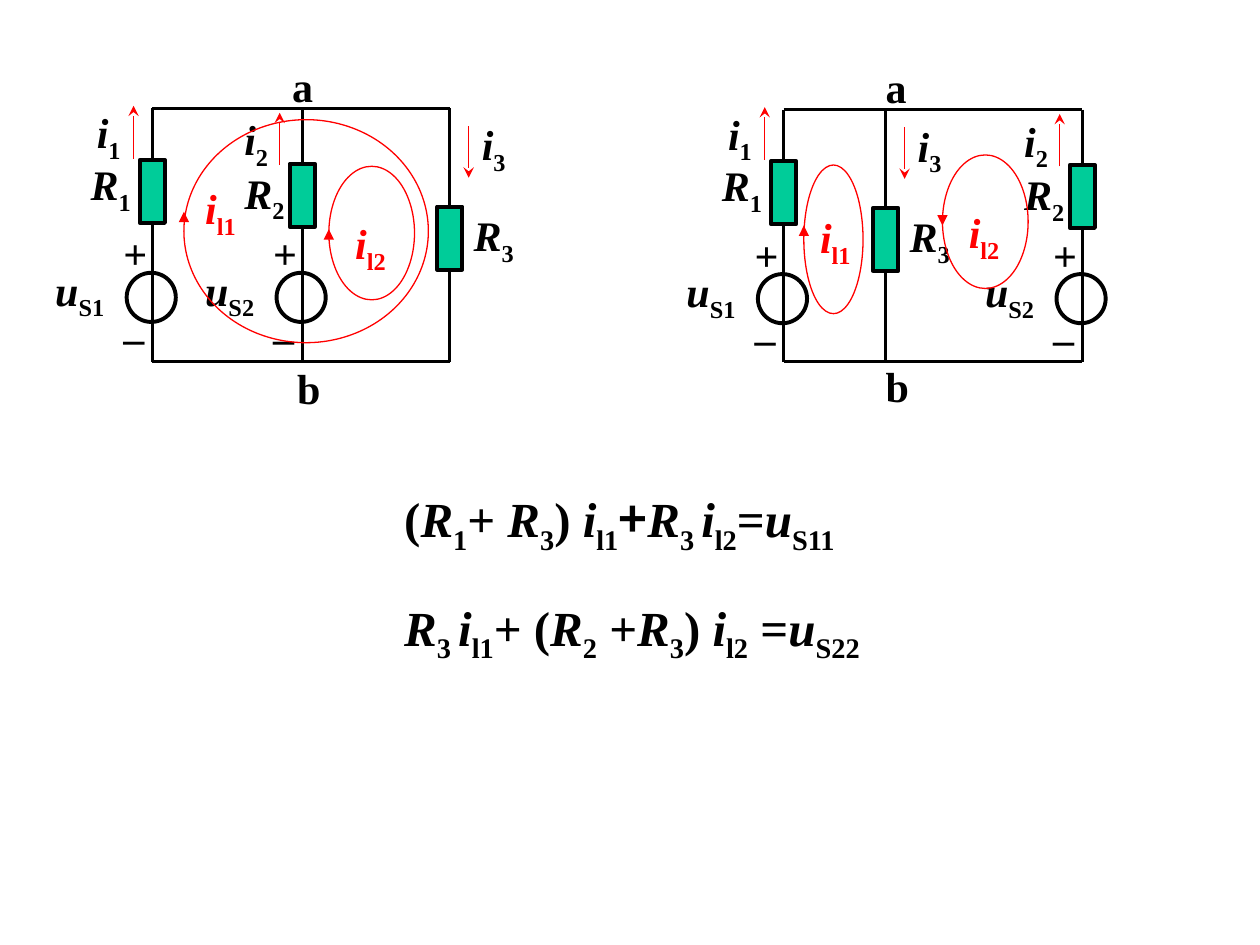
import itertools

import lxml.etree
import pptx
import pptx.dml.color
import pptx.enum.shapes
import pptx.enum.text
import pptx.oxml.ns
import pptx.util

BLACK = pptx.dml.color.RGBColor(0x00, 0x00, 0x00)
RED = pptx.dml.color.RGBColor(0xFF, 0x00, 0x00)
GREEN = pptx.dml.color.RGBColor(0x00, 0xCC, 0x99)
TEXT_FONT = "Times New Roman"
PLUS_FONT = "Noto Sans CJK SC"

# Grid of 100 columns by 75 rows over the whole slide
SLIDE_WIDTH = pptx.util.Inches(10)
SLIDE_HEIGHT = pptx.util.Inches(7.5)
COLUMN = SLIDE_WIDTH / 100
ROW = SLIDE_HEIGHT / 75

# Markup: *italic*, _subscript_, #other font#
MARKS = "*_#"


def columns(count):
    return round(count * COLUMN)


def rows(count):
    return round(count * ROW)


def split_markup(markup):
    """Give (text, active mark) pairs for a marked-up line."""
    active = ""
    styled = []
    for character in markup:
        if character in MARKS:
            active = "" if active == character else character
        else:
            styled.append((character, active))
    for mark, group in itertools.groupby(styled, key=lambda pair: pair[1]):
        yield "".join(character for character, _ in group), mark


def add_text(slide, markup, left, top, width=6.5, height=5.6, size=24,
             color=BLACK, wrap=True):
    box = slide.shapes.add_textbox(columns(left), rows(top),
                                   columns(width), rows(height))
    frame = box.text_frame
    frame.word_wrap = wrap
    frame.auto_size = pptx.enum.text.MSO_AUTO_SIZE.SHAPE_TO_FIT_TEXT
    paragraph = frame.paragraphs[0]
    for text, mark in split_markup(markup):
        run = paragraph.add_run()
        run.text = text
        run.font.name = PLUS_FONT if mark == "#" else TEXT_FONT
        run.font.size = pptx.util.Pt(size)
        run.font.bold = True
        run.font.italic = mark == "*"
        run.font.color.rgb = color
        if mark == "_":
            run.font._element.set("baseline", "-25000")


def add_line(slide, start, end, color=BLACK, weight=1.5, arrowhead=None):
    line = slide.shapes.add_connector(
        pptx.enum.shapes.MSO_CONNECTOR.STRAIGHT,
        columns(start[0]), rows(start[1]), columns(end[0]), rows(end[1]))
    line.line.color.rgb = color
    line.line.width = pptx.util.Pt(weight)
    properties = line._element.spPr
    if arrowhead:
        outline = properties.find(pptx.oxml.ns.qn("a:ln"))
        lxml.etree.SubElement(outline, pptx.oxml.ns.qn("a:tailEnd"),
                              type=arrowhead)
    lxml.etree.SubElement(properties, pptx.oxml.ns.qn("a:effectLst"))


def add_outline(slide, kind, left, top, width, height, fill=None,
                color=BLACK, weight=2.25):
    shape = slide.shapes.add_shape(kind, columns(left), rows(top),
                                   columns(width), rows(height))
    shape.shadow.inherit = False
    if fill is None:
        shape.fill.background()
    else:
        shape.fill.solid()
        shape.fill.fore_color.rgb = fill
    shape.line.color.rgb = color
    shape.line.width = pptx.util.Pt(weight)


def add_branch(slide, x, top, height, number, resistor, resistor_label,
               current, current_label):
    """One vertical wire with its resistor and its current arrow."""
    add_line(slide, (x, top), (x, top + height))
    add_outline(slide, pptx.enum.shapes.MSO_SHAPE.RECTANGLE,
                x - 1, top + resistor, 2, 5, fill=GREEN)
    add_text(slide, f"*R*_{number}_",
             x + resistor_label[0], top + resistor_label[1])
    offset, start, end = current
    add_line(slide, (x + offset, top + start), (x + offset, top + end),
             color=RED, weight=0.75, arrowhead="stealth")
    add_text(slide, f"*i*_{number}_",
             x + current_label[0], top + current_label[1])


def add_source(slide, x, top, number):
    """Voltage source on a branch, with its name and polarity."""
    add_outline(slide, pptx.enum.shapes.MSO_SHAPE.OVAL,
                x - 2.05, top + 13.05, 3.9, 3.9)
    add_text(slide, f"*u*_S{number}_", x - 8.7, top + 11.9, width=8)
    for sign, offset in (("+", 9), ("–", 15.6)):
        add_text(slide, sign, x - 3.3, top + offset, width=3.9, height=5)


def add_loop(slide, number, left, top, width, height, label, arrow):
    """Loop current: ellipse, direction mark on its left side, name."""
    add_outline(slide, pptx.enum.shapes.MSO_SHAPE.OVAL,
                left, top, width, height, color=RED, weight=0.75)
    start, end = arrow
    add_line(slide, (left, top + start), (left, top + end),
             color=RED, weight=0.75, arrowhead="triangle")
    add_text(slide, f"*i*_l{number}_", left + label[0], top + label[1],
             width=5.2, color=RED)


def add_circuit(slide, left, top, width, height, second, third, node, loops):
    """Three-branch circuit; second, third and node are column offsets."""
    add_branch(slide, left, top, height, 1, 4.1, (-5.9, 3.5),
               (-1.5, 4, -0.2), (-5.4, -0.6))
    add_branch(slide, left + second, top, height, 2, 4.4, (-5.6, 4.2),
               (-1.8, 4.5, 0.35), (-5.6, -0.05))
    add_branch(slide, left + third, top, height, 3, 7.8, (0.9, 7.55),
               (1.5, 1.4, 5.5), (1.55, 0.35))
    add_source(slide, left, top, 1)
    add_source(slide, left + second, top, 2)

    # Rails and end nodes
    for y in (top, top + height):
        add_line(slide, (left, y), (left + width, y))
    for name, (x, y) in zip("ab", node):
        add_text(slide, name, left + x, top + y, width=3.7, height=5, wrap=False)

    # Loop currents
    for number, loop in enumerate(loops, start=1):
        x, y, loop_width, loop_height, label, arrow = loop
        add_loop(slide, number, left + x, top + y, loop_width, loop_height,
                 label, arrow)


def add_equations(slide, left, top, width, pitch):
    equations = (
        "(*R*_1_+ *R*_3_) *i*_l1_#+#*R*_3 _*i*_l2_=*u*_S11_",
        "*R*_3 _*i*_l1_+ (*R*_2_ +*R*_3_) *i*_l2_ =*u*_S22_",
    )
    for index, equation in enumerate(equations):
        add_text(slide, equation, left, top + index * pitch,
                 width=width, height=6.3, size=28)


def main():
    presentation = pptx.Presentation()
    presentation.slide_width = SLIDE_WIDTH
    presentation.slide_height = SLIDE_HEIGHT
    slide = presentation.slides.add_slide(presentation.slide_layouts[6])

    # Left circuit: outer loop and right-hand mesh
    add_circuit(slide, 12.1, 8.6, 23.6, 20.1, second=11.9, third=23.6,
                node=((10.1, -4.3), (10.5, 19.7)),
                loops=((2.5, 0.9, 19.4, 17.7, (0.7, 4.5), (8.1, 7.3)),
                       (14, 4.6, 6.8, 10.6, (1.1, 3.6), (5.6, 5))))
    # Right circuit: two neighbouring meshes
    add_circuit(slide, 62.2, 8.7, 23.7, 20, second=23.7, third=8.1,
                node=((7.1, -4.3), (7.1, 19.4)),
                loops=((1.6, 4.4, 4.7, 11.8, (0.3, 3.2), (5.4, 4.8)),
                       (12.6, 3.6, 6.8, 10.6, (1.1, 3.6), (5, 5.6))))
    add_equations(slide, 31.1, 38.3, 44.9, pitch=8.6)

    presentation.save("out.pptx")


if __name__ == "__main__":
    main()
